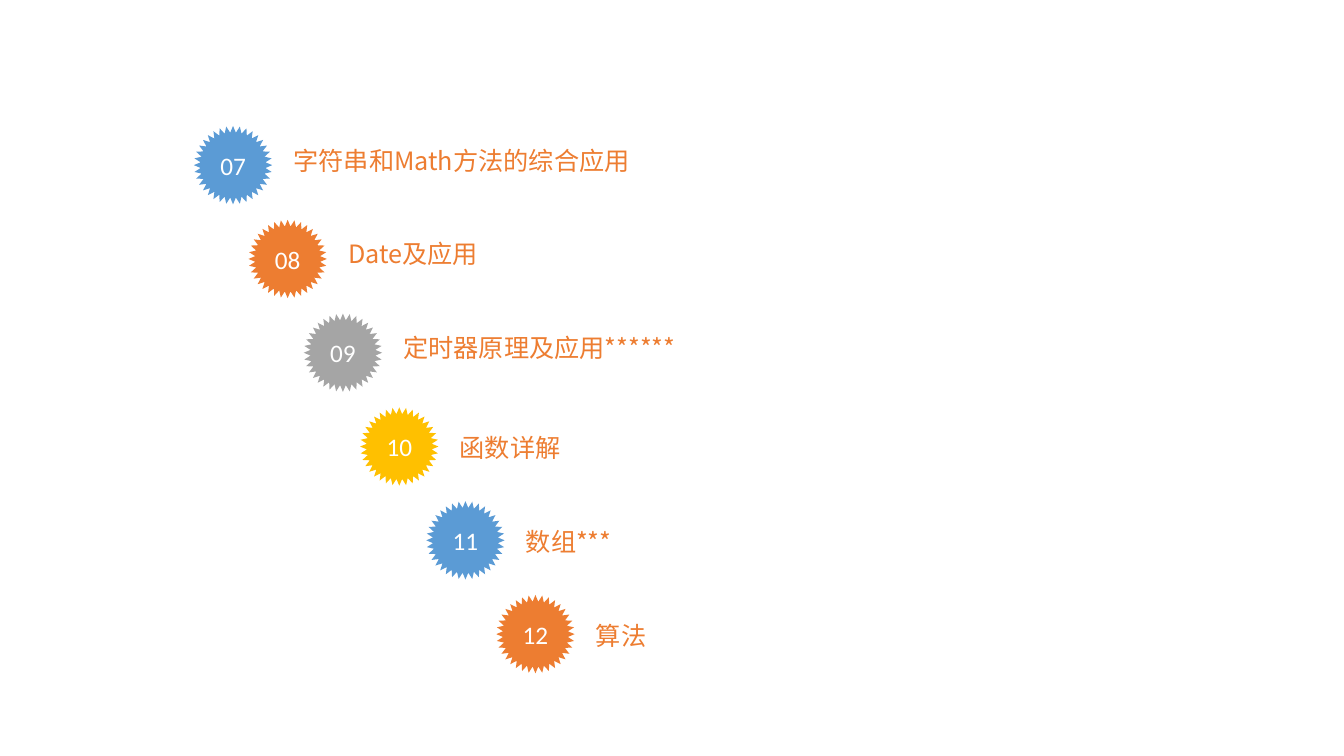
from math import cos, pi, sin

from lxml import etree
from pptx import Presentation
from pptx import util as u
from pptx.dml.color import RGBColor
from pptx.enum import text
from pptx.oxml.ns import qn

COLORS = {"blue": "5B9BD5", "orange": "ED7D31", "gray": "A5A5A5",
          "gold": "FFC000", "white": "FFFFFF"}
LABEL_FONT, NUMBER_FONT = "Noto Sans CJK SC", "Calibri"
TEETH, BADGE_SIZE, INNER_RATIO = 36, 56, 0.83
FIRST_TOP, ROW_STEP = 90, 67
LABEL_OFFSET, LABEL_WIDTH, LABEL_HEIGHT = 64, 535.5, 37.5

# number, label, badge colour, badge left, label drop below the badge top
CHAPTERS = [
    ("07", "字符串和Math方法的综合应用", "blue", 138.5, 10),
    ("08", "Date及应用", "orange", 177.5, 10),
    ("09", "定时器原理及应用******", "gray", 217, 10),
    ("10", "函数详解", "gold", 257.25, 14.5),
    ("11", "数组***", "blue", 304.5, 14.5),
    ("12", "算法", "orange", 354.5, 14.5),
]


def write(shape, words, font, color):
    para = shape.text_frame.paragraphs[0]
    para.text = words
    span = para.runs[0]
    span.font.size = u.Pt(18)
    span.font.name = font
    span.font.color.rgb = RGBColor.from_string(COLORS[color])
    east_asian = etree.SubElement(span.font._element, qn("a:ea"))
    east_asian.set("typeface", font)
    return para


def add_badge(slide, left, top, number, color):
    """Draw a toothed disc with a centred number."""
    radius = BADGE_SIZE / 2
    points = []
    for step in range(2 * TEETH):
        reach = radius * (INNER_RATIO if step % 2 else 1)
        angle = pi * step / TEETH
        points.append((u.Pt(left + radius + reach * sin(angle)),
                       u.Pt(top + radius - reach * cos(angle))))
    builder = slide.shapes.build_freeform(*points[0])
    builder.add_line_segments(points[1:], close=True)
    badge = builder.convert_to_shape()
    badge.shadow.inherit = False
    badge.fill.solid()
    badge.fill.fore_color.rgb = RGBColor.from_string(COLORS[color])
    badge.line.fill.background()
    frame = badge.text_frame
    frame.margin_left = frame.margin_right = 0
    frame.vertical_anchor = text.MSO_ANCHOR.MIDDLE
    para = write(badge, number, NUMBER_FONT, "white")
    para.alignment = text.PP_ALIGN.CENTER


def add_chapter(slide, left, top, number, label, color, drop):
    box = slide.shapes.add_textbox(u.Pt(left + LABEL_OFFSET), u.Pt(top + drop),
                                   u.Pt(LABEL_WIDTH), u.Pt(LABEL_HEIGHT))
    box.text_frame.word_wrap = True
    write(box, label, LABEL_FONT, "orange")
    add_badge(slide, left, top, number, color)


def main():
    deck = Presentation()
    deck.slide_width, deck.slide_height = u.Pt(960), u.Pt(540)
    page = deck.slides.add_slide(deck.slide_layouts[6])
    for row, (number, label, color, left, drop) in enumerate(CHAPTERS):
        add_chapter(page, left, FIRST_TOP + row * ROW_STEP,
                    number, label, color, drop)
    deck.save("out.pptx")


if __name__ == "__main__":
    main()
